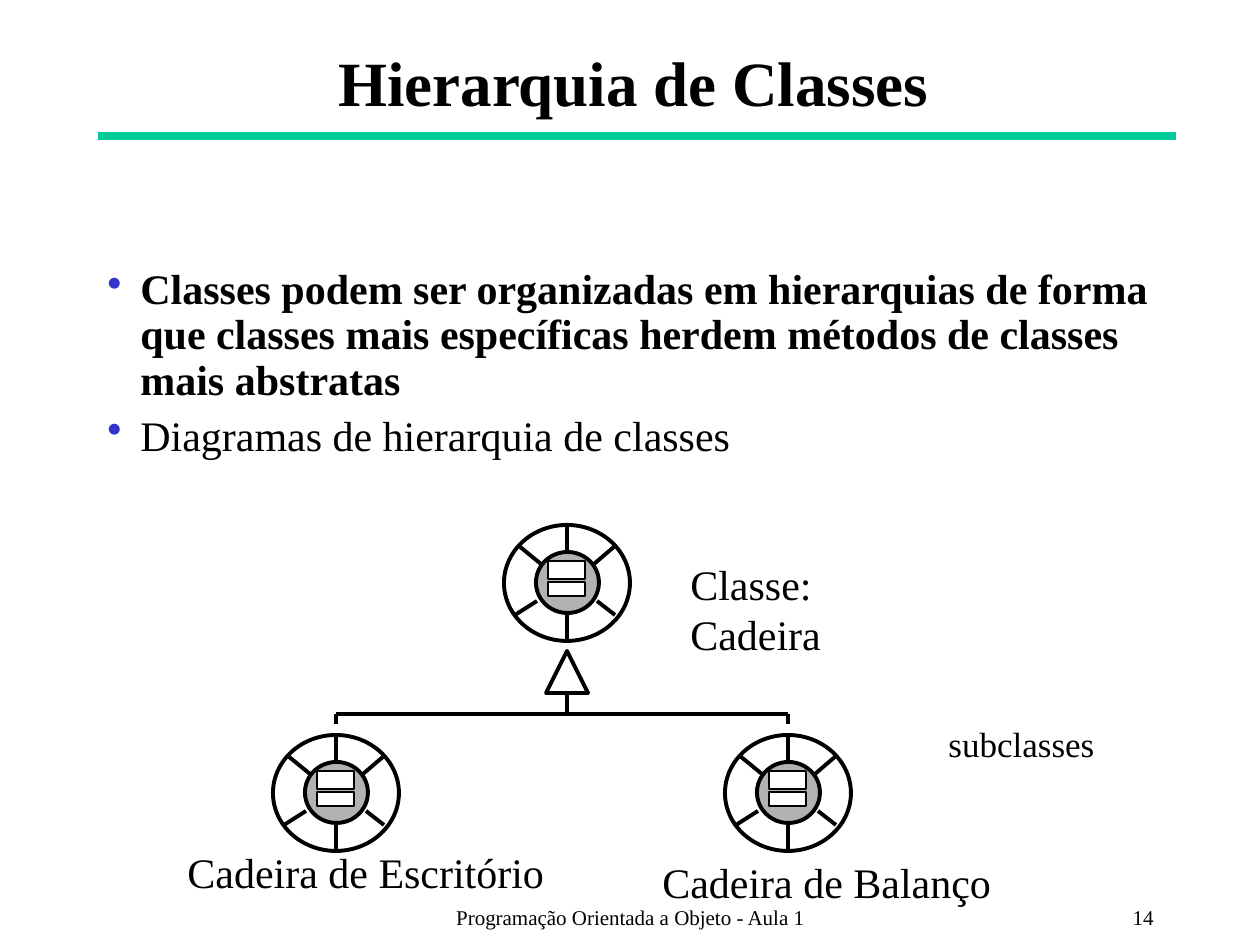
from lxml import etree
from pptx import Presentation, util as u
from pptx.dml import color
from pptx.enum import shapes, text
from pptx.oxml import ns

PX = 914400 / 126
FONT = "Times New Roman"
COLORS = {"ink": "000000", "paper": "FFFFFF", "rule": "00CC99", "bullet": "3333CC", "hub": "B2B2B2"}
WHEEL_SIZE = (126, 116)
SPOKES = [
    (63, 0, 63, 25), (63, 90, 63, 115), (15, 21, 37, 39),
    (93, 76, 111, 90), (11, 90, 33, 76), (90, 39, 111, 21),
]
SLOTS = [(44, 36, 37, 18), (44, 57, 37, 14)]


def px(value):
    return u.Emu(round(value * PX))


def rgb(name):
    return color.RGBColor.from_string(COLORS[name])


def add_line(slide, start, end, name="ink", width=2.25):
    line = slide.shapes.add_connector(shapes.MSO_CONNECTOR.STRAIGHT, *map(px, (*start, *end)))
    line.line.color.rgb = rgb(name)
    line.line.width = u.Pt(width)
    etree.SubElement(line._element.spPr, ns.qn("a:effectLst"))


def add_outline(slide, kind, box, fill=None, width=2.25):
    shape = slide.shapes.add_shape(kind, *map(px, box))
    shape.shadow.inherit = False
    if fill:
        shape.fill.solid()
        shape.fill.fore_color.rgb = rgb(fill)
    else:
        shape.fill.background()
    shape.line.color.rgb = rgb("ink")
    shape.line.width = u.Pt(width)


def format_paragraph(paragraph, size, bold=False):
    for run in paragraph.runs:
        run.font.name = FONT
        run.font.size = u.Pt(size)
        run.font.bold = bold
        run.font.color.rgb = rgb("ink")


def add_text(slide, box, words, size, align=text.PP_ALIGN.LEFT, wrap=False, bold=False):
    frame = slide.shapes.add_textbox(*map(px, box)).text_frame
    frame.word_wrap = wrap
    frame.text = words
    for paragraph in frame.paragraphs:
        paragraph.alignment = align
        format_paragraph(paragraph, size, bold)
    return frame


def add_bullet(paragraph):
    properties = paragraph._p.get_or_add_pPr()
    properties.set("marL", str(px(33)))
    properties.set("indent", str(px(-33)))
    bullet_color = etree.SubElement(properties, ns.qn("a:buClr"))
    etree.SubElement(bullet_color, ns.qn("a:srgbClr"), val=COLORS["bullet"])
    etree.SubElement(properties, ns.qn("a:buChar"), char="•")


def add_header(slide, left, top, width, height):
    add_line(slide, (left, top + height), (left + width, top + height), "rule", 4.5)
    frame = add_text(slide, (left, top, 1071, 78), "Hierarquia de Classes", 36,
                     text.PP_ALIGN.CENTER, wrap=True, bold=True)
    frame.vertical_anchor = text.MSO_ANCHOR.MIDDLE


def add_body(slide, *box):
    frame = add_text(
        slide, box,
        "Classes podem ser organizadas em hierarquias de forma que classes mais "
        "específicas herdem métodos de classes mais abstratas\n"
        "Diagramas de hierarquia de classes",
        24, wrap=True)
    for paragraph in frame.paragraphs:
        paragraph.line_spacing = 0.9
        paragraph.space_before = u.Pt(6)
        add_bullet(paragraph)
    format_paragraph(frame.paragraphs[0], 24, bold=True)


def add_wheel(slide, left, top):
    add_outline(slide, shapes.MSO_SHAPE.OVAL, (left, top, *WHEEL_SIZE))
    add_outline(slide, shapes.MSO_SHAPE.OVAL, (left + 32, top + 27, 63, 61), "hub")
    for x1, y1, x2, y2 in SPOKES:
        add_line(slide, (left + x1, top + y1), (left + x2, top + y2))
    for x, y, width, height in SLOTS:
        add_outline(slide, shapes.MSO_SHAPE.RECTANGLE,
                    (left + x, top + y, width, height), "paper", 0.75)


def add_hierarchy(slide, left, top, width):
    radius = WHEEL_SIZE[0] // 2
    parent_x = left + 294
    first_x, last_x = left + radius, left + width - radius
    branch_y = top + 189
    for x, y in ((parent_x, top), (first_x, top + 210), (last_x, top + 210)):
        add_wheel(slide, x - radius, y)
    add_outline(slide, shapes.MSO_SHAPE.FLOWCHART_EXTRACT,
                (parent_x - 21, top + 126, 42, 42), "paper")
    add_line(slide, (parent_x, top + 168), (parent_x, branch_y))
    add_line(slide, (first_x, branch_y), (last_x, branch_y))
    for x in (first_x, last_x):
        add_line(slide, (x, branch_y), (x, branch_y + 10))
    for x, y, label_width, height, words, size in (
        (405, 27, 287, 63, "Classe: Cadeira", 24),
        (663, 191, 171, 55, "subclasses", 20),
        (-98, 315, 382, 63, "Cadeira de Escritório", 24),
        (377, 325, 354, 63, "Cadeira de Balanço", 24),
    ):
        add_text(slide, (left + x, top + y, label_width, height), words, size)


def add_footer(slide, left, top, width, height):
    add_text(slide, (left, top, 399, height), "Programação Orientada a Objeto - Aula 1",
             12, text.PP_ALIGN.CENTER, wrap=True)
    add_text(slide, (left + width - 262, top, 262, height), "14",
             12, text.PP_ALIGN.RIGHT, wrap=True)


def main():
    presentation = Presentation()
    presentation.slide_width, presentation.slide_height = px(1260), px(945)
    slide = presentation.slides.add_slide(presentation.slide_layouts[6])
    add_header(slide, 98, 42, 1078, 94)
    add_body(slide, 95, 262, 1071, 284)
    add_hierarchy(slide, 273, 525, 578)
    add_footer(slide, 431, 898, 735, 26)
    presentation.save("out.pptx")


if __name__ == "__main__":
    main()
